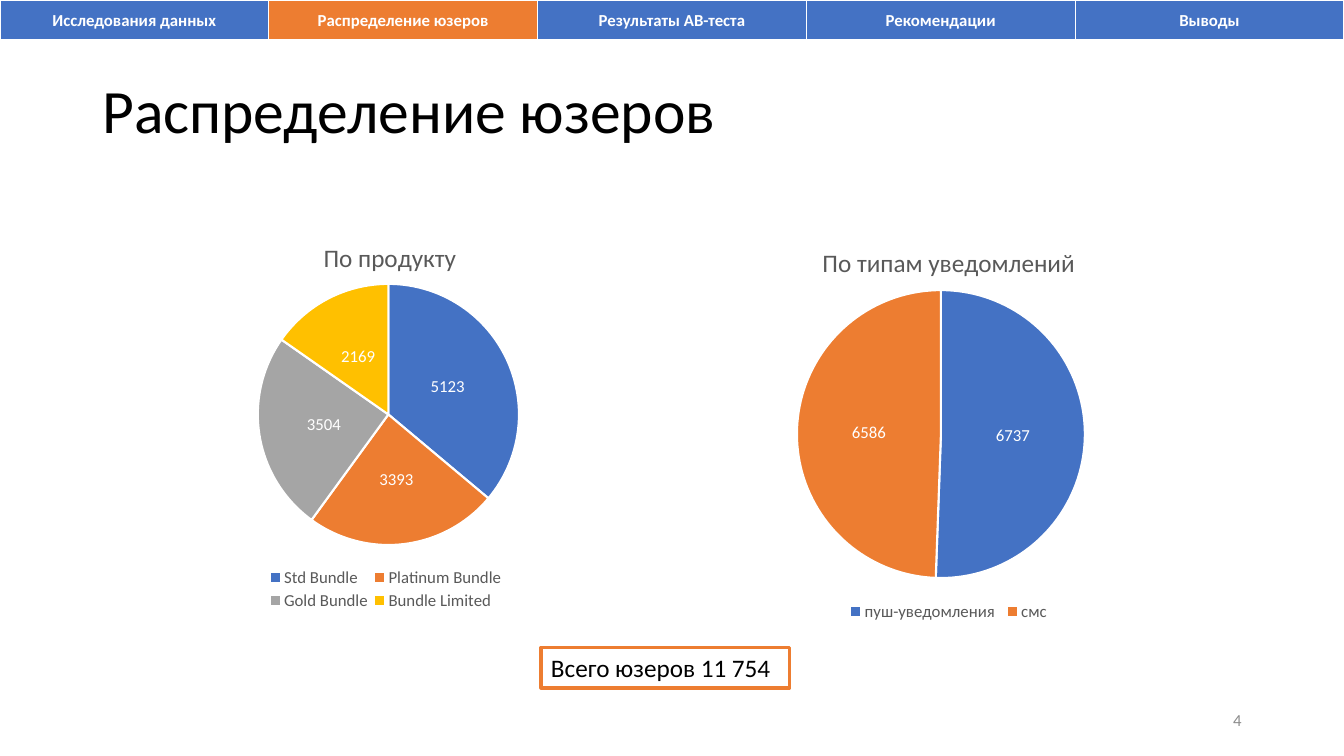
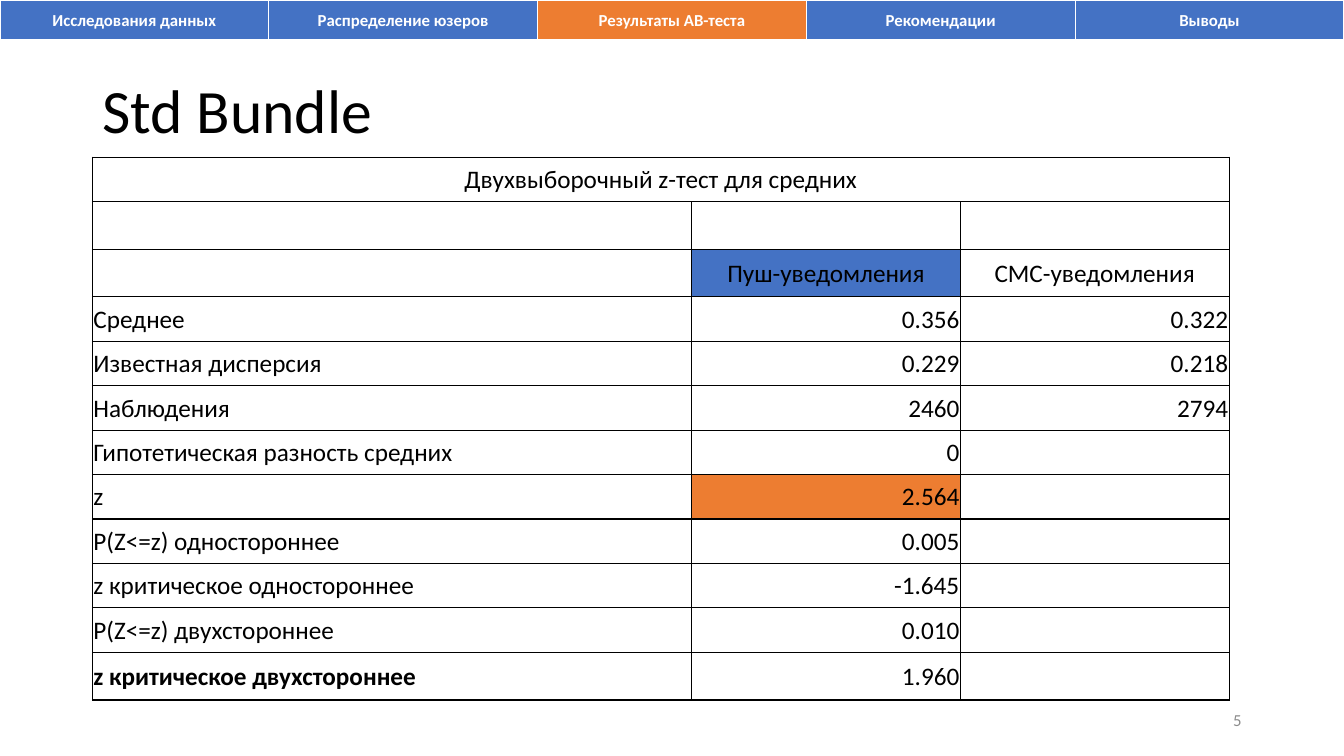
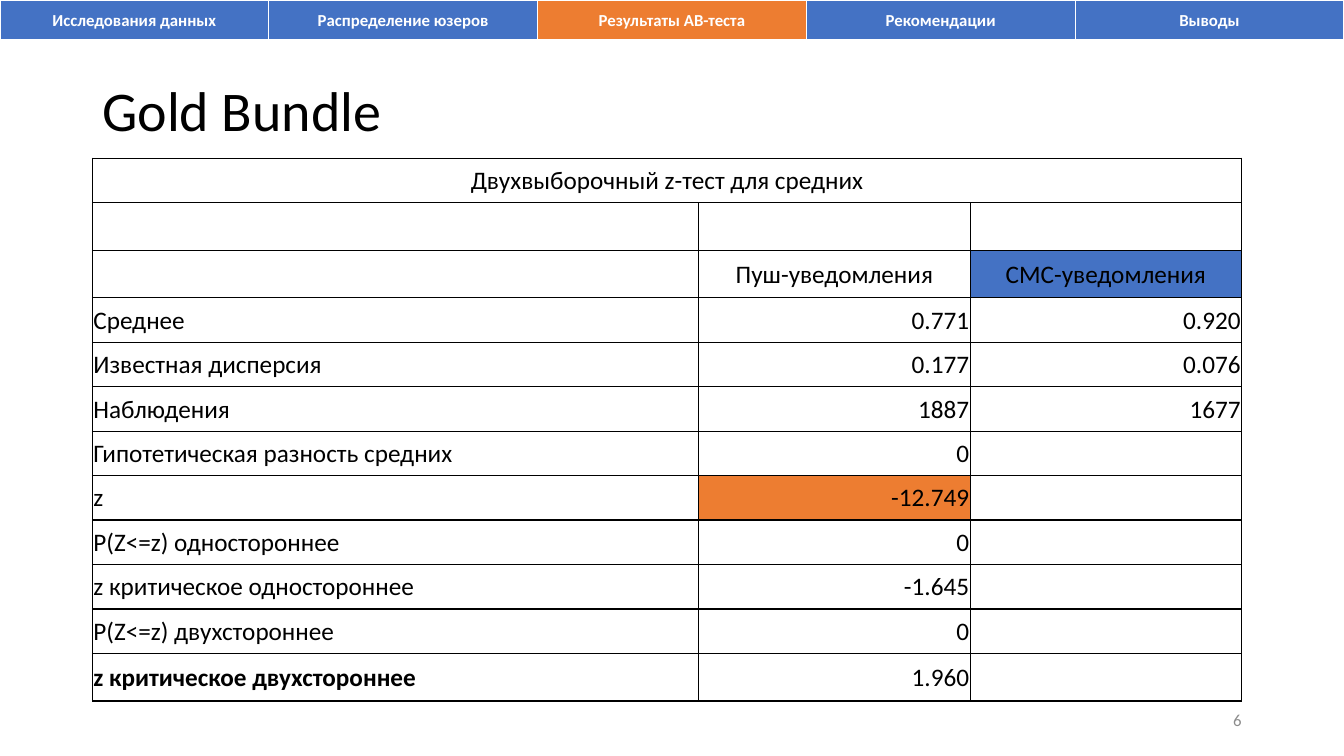
from lxml import etree
from pptx import Presentation
from pptx.chart.data import CategoryChartData
from pptx.dml.color import RGBColor
from pptx.enum.chart import XL_CHART_TYPE as CT, XL_LABEL_POSITION as LP, XL_LEGEND_POSITION as LEG
from pptx.enum.text import MSO_ANCHOR as MA, PP_ALIGN as PA
from pptx.oxml import parse_xml
from pptx.oxml.ns import nsdecls, qn
from pptx.util import Pt

C = {"blue": "4472C4", "orange": "ED7D31", "gray": "A5A5A5", "gold": "FFC000",
     "white": "FFFFFF", "black": "000000", "label": "595959", "number": "8C8C8C"}
RGB = {name: RGBColor.from_string(value) for name, value in C.items()}
FONT = "Calibri"


def write(tf, text, size, color="black", align=PA.LEFT, bold=False):
    p = tf.paragraphs[0]
    p.alignment = align
    r = p.add_run()
    r.text = text
    for key, value in {"name": FONT, "size": Pt(size), "bold": bold}.items():
        setattr(r.font, key, value)
    r.font.color.rgb = RGB[color]
    return p


def style_cell(cell, fill, line, bottom=1):
    cell.fill.solid()
    cell.fill.fore_color.rgb = RGB[fill]
    cell.vertical_anchor = MA.MIDDLE
    tc_pr = cell._tc.get_or_add_tcPr()
    for i, side in enumerate("LRTB"):
        width = Pt(bottom if side == "B" else 1)
        tc_pr.insert(i, parse_xml(
            f'<a:ln{side} {nsdecls("a")} w="{width}"><a:solidFill>'
            f'<a:srgbClr val="{C[line]}"/></a:solidFill></a:ln{side}>'))


SECTIONS = ["Исследования данных", "Распределение юзеров", "Результаты АВ-теста",
            "Рекомендации", "Выводы"]
ROW_LABELS = ["Среднее", "Известная дисперсия", "Наблюдения", "Гипотетическая разность средних",
              "z", "P(Z<=z) одностороннее", "z критическое одностороннее",
              "P(Z<=z) двухстороннее", "z критическое двухстороннее"]
HEADERS = ["", "Пуш-уведомления", "СМС-уведомления"]
Z_ROW = 3 + ROW_LABELS.index("z")

PIES = [
    {"title": "По продукту", "box": (77, 154, 397, 287),
     "data": {"Std Bundle": 5123, "Platinum Bundle": 3393, "Gold Bundle": 3504,
              "Bundle Limited": 2169},
     "title_at": (0.38, 0.05), "plot_at": (0.27, 0.17, 0.47, 0.65),
     "legend_at": (0.28, 0.87, 0.44, 0.12)},
    {"title": "По типам уведомлений", "box": (487, 154, 374, 294.5),
     "data": {"пуш-уведомления": 6737, "смс": 6586},
     "title_at": (0.26, 0.06), "plot_at": (0.22, 0.18, 0.55, 0.7),
     "legend_at": (0.31, 0.93, 0.4, 0.06)},
]
TESTS = [
    {"top": 112.25, "cols": (428, 192, 192), "winner": 1,
     "push": ["0.356", "0.229", "2460", "0", "2.564", "0.005", "-1.645", "0.010", "1.960"],
     "sms": ["0.322", "0.218", "2794"]},
    {"top": 113, "cols": (433, 194, 194), "winner": 2,
     "push": ["0.771", "0.177", "1887", "0", "-12.749", "0", "-1.645", "0", "1.960"],
     "sms": ["0.920", "0.076", "1677"]},
]
SLIDES = [
    {"title": "Распределение юзеров", "size": 44, "section": 1, "pies": PIES},
    {"title": "Std Bundle", "size": 44, "section": 2, "test": TESTS[0]},
    {"title": "Gold Bundle", "size": 40, "section": 2, "test": TESTS[1]},
]

prs = Presentation()
prs.slide_width, prs.slide_height = Pt(960), Pt(540)

for number, page in enumerate(SLIDES, 4):
    s = prs.slides.add_slide(prs.slide_layouts[6])

    for text, box, fmt in [
        (page["title"], (66, 28.75, 828, 104.4), {"size": page["size"]}),
        (str(number), (678, 500.5, 216, 28.75),
         {"size": 12, "color": "number", "align": PA.RIGHT}),
    ]:
        tf = s.shapes.add_textbox(*map(Pt, box)).text_frame
        tf.word_wrap = True
        tf.vertical_anchor = MA.MIDDLE
        p = write(tf, text, **fmt)
        p.line_spacing = 0.9

    for pie in page.get("pies", []):
        cd = CategoryChartData()
        cd.categories = list(pie["data"])
        cd.add_series("Series 1", list(pie["data"].values()))
        chart = s.shapes.add_chart(CT.PIE, *map(Pt, pie["box"]), cd).chart
        chart.font.name, chart.font.size = FONT, Pt(10)
        chart.has_title = True
        write(chart.chart_title.text_frame, pie["title"], 18, "label", PA.CENTER)
        chart.has_legend = True
        legend = chart.legend
        legend.position, legend.include_in_layout = LEG.BOTTOM, False

        plot = chart.plots[0]
        plot.vary_by_categories = True
        plot.has_data_labels = True
        labels = plot.data_labels
        labels.show_value, labels.show_percentage = True, False
        labels.position = LP.CENTER
        for font, color in [(legend.font, "label"), (labels.font, "white")]:
            font.name, font.size = FONT, Pt(12)
            font.color.rgb = RGB[color]
        for i, color in zip(range(len(pie["data"])), ["blue", "orange", "gray", "gold"]):
            fmt = plot.series[0].points[i].format
            fmt.fill.solid()
            fmt.fill.fore_color.rgb = RGB[color]
            fmt.line.color.rgb = RGB["white"]
            fmt.line.width = Pt(1.5)

        for tag, at in [("title", pie["title_at"]), ("plotArea", pie["plot_at"]),
                        ("legend", pie["legend_at"])]:
            part = chart._chartSpace.chart.find(qn(f"c:{tag}"))
            for old in part.findall(qn("c:layout")):
                part.remove(old)
            layout = etree.Element(qn("c:layout"))
            manual = etree.SubElement(layout, qn("c:manualLayout"))
            settings = [("layoutTarget", "inner")] if tag == "plotArea" else []
            settings += [("xMode", "edge"), ("yMode", "edge"), *zip("xywh", at)]
            for key, value in settings:
                etree.SubElement(manual, qn(f"c:{key}")).set("val", str(value))
            overlay = part.find(qn("c:overlay"))
            part.insert(0 if overlay is None else part.index(overlay), layout)

    if "pies" in page:
        total = s.shapes.add_textbox(Pt(386.5), Pt(462.5), Pt(177.5), Pt(29))
        total.line.color.rgb = RGB["orange"]
        total.line.width = Pt(2.25)
        total.text_frame.word_wrap = True
        write(total.text_frame, "Всего юзеров 11 754", 18)

    if "test" in page:
        test = page["test"]
        rows = [["Двухвыборочный z-тест для средних", "", ""], ["", "", ""], HEADERS]
        sms = test["sms"] + [""] * (len(ROW_LABELS) - len(test["sms"]))
        rows += zip(ROW_LABELS, test["push"], sms)
        last = len(rows) - 1
        heights = [34 if i in (1, 2, last) else 31.75 for i in range(len(rows))]
        fills = {(2, test["winner"]): "blue", (Z_ROW, 1): "orange"}
        table = s.shapes.add_table(len(rows), 3, Pt(66), Pt(test["top"]),
                                   Pt(sum(test["cols"])), Pt(sum(heights))).table
        table.first_row = table.horz_banding = False
        for col, width in zip(table.columns, test["cols"]):
            col.width = Pt(width)
        for i, row in enumerate(rows):
            table.rows[i].height = Pt(heights[i])
            for j, text in enumerate(row):
                cell = table.cell(i, j)
                style_cell(cell, fills.get((i, j), "white"), "black")
                cell.margin_left = cell.margin_right = cell.margin_top = Pt(0.75)
                cell.margin_bottom = 0
                if text:
                    align = PA.CENTER if i < 3 else PA.RIGHT if j else PA.LEFT
                    write(cell.text_frame, text, 18, align=align, bold=i == last and j == 0)
        table.cell(0, 0).merge(table.cell(0, 2))

    nav = s.shapes.add_table(1, len(SECTIONS), 0, 0, prs.slide_width, Pt(29.25)).table
    nav.first_row = nav.horz_banding = False
    for i, text in enumerate(SECTIONS):
        cell = nav.cell(0, i)
        style_cell(cell, "orange" if i == page["section"] else "blue", "white", bottom=3)
        write(cell.text_frame, text, 12, "white", PA.CENTER, True)

prs.save("out.pptx")
